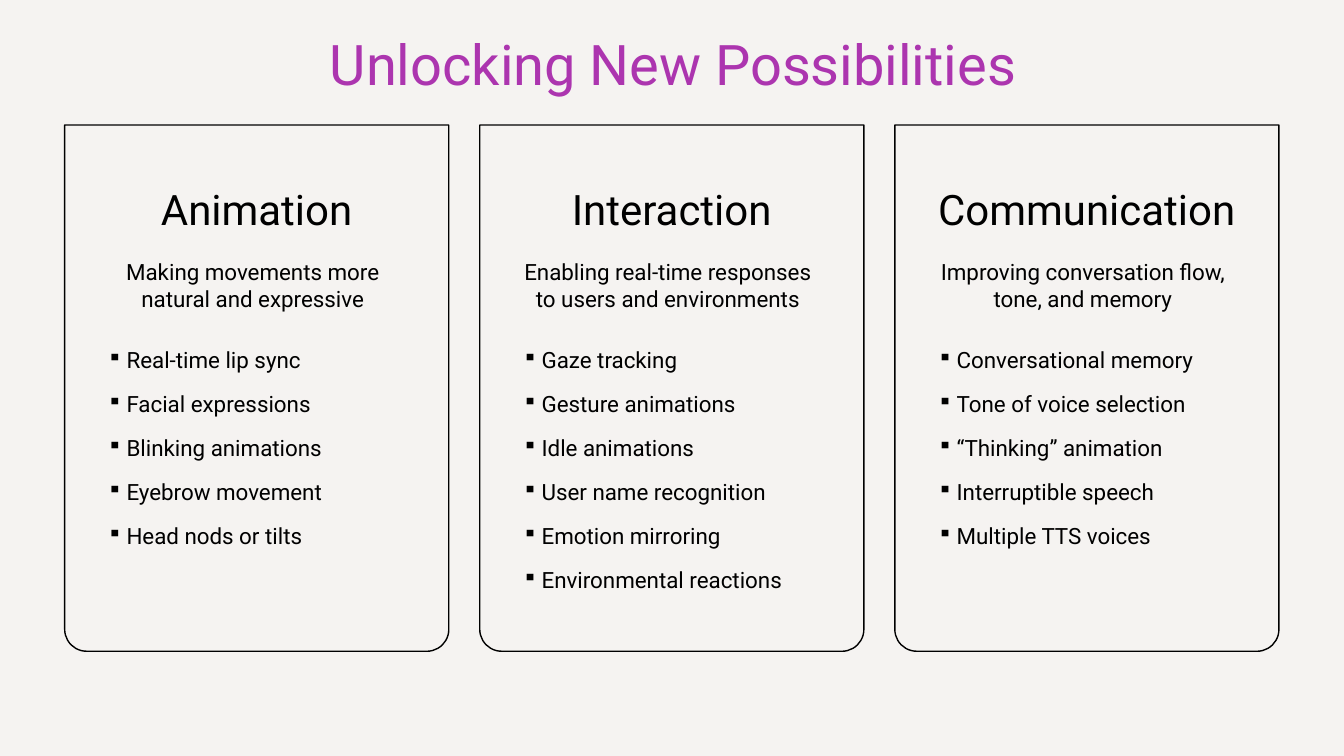
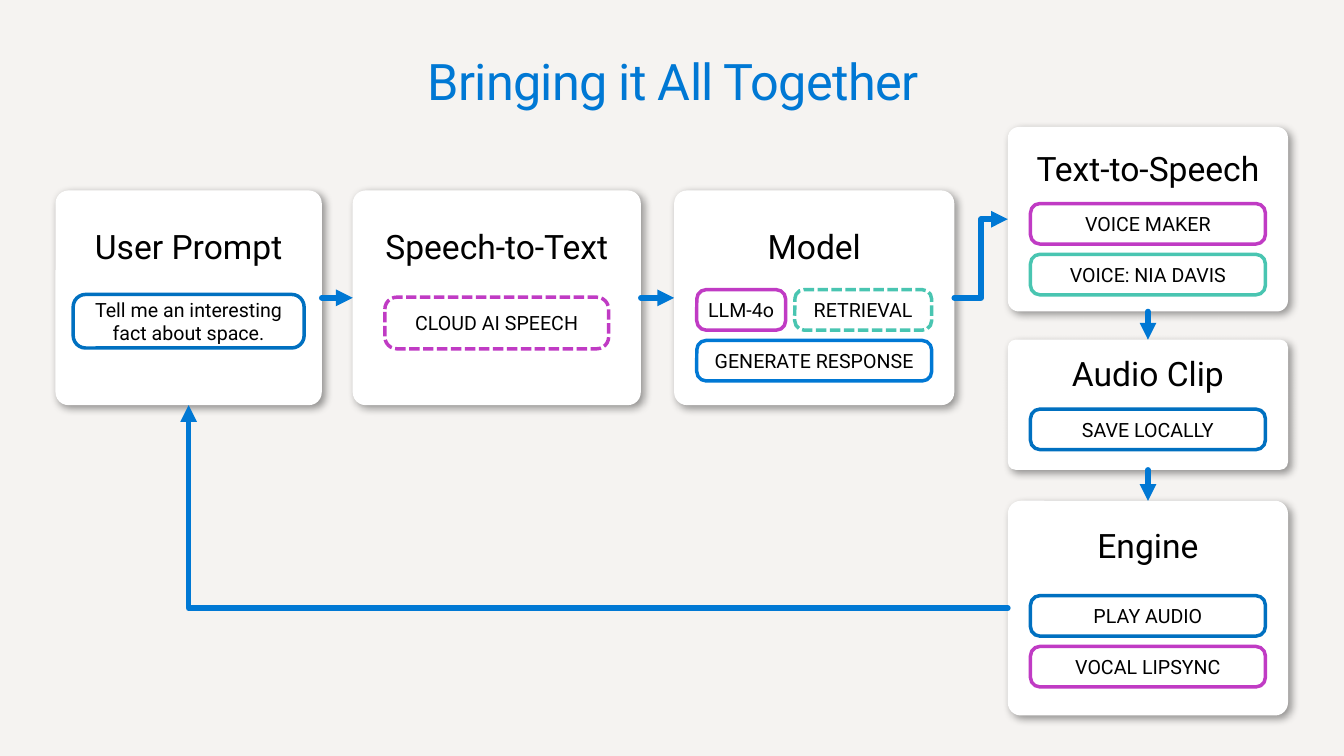
from lxml import etree
from pptx import Presentation
from pptx.dml.color import RGBColor
from pptx.enum.dml import MSO_LINE_DASH_STYLE as Dash
from pptx.enum.shapes import MSO_CONNECTOR as Link, MSO_SHAPE as Preset
from pptx.enum.text import MSO_ANCHOR as Anchor, PP_ALIGN as Align
from pptx.oxml.ns import qn
from pptx.util import Cm, Pt

PAPER = RGBColor(0xF5, 0xF3, 0xF1)
WHITE = RGBColor(0xFF, 0xFF, 0xFF)
BLACK = RGBColor(0x00, 0x00, 0x00)
PURPLE = RGBColor(0xAC, 0x35, 0xAF)
MAGENTA = RGBColor(0xC0, 0x3B, 0xC4)
TEAL = RGBColor(0x49, 0xC5, 0xB1)
BLUE = RGBColor(0x00, 0x78, 0xD4)
DEEP_BLUE = RGBColor(0x00, 0x70, 0xC0)

FONT = "Roboto"
NO_INSETS = dict(margin_left=0, margin_right=0, margin_top=0, margin_bottom=0)
LEFT, TOP, BOTTOM, RIGHT = 1, 0, 2, 3  # connection sites of a card


def set_all(target, values):
    for key, value in values.items():
        setattr(target, key, value)


def add_xml(parent, tag, **attributes):
    child = etree.SubElement(parent, qn(tag))
    for key, value in attributes.items():
        child.set(key, str(value))
    return child


class Deck:
    """Holds the shared style and the current slide."""

    def __init__(self):
        self.show = Presentation()
        set_all(self.show, dict(slide_width=Cm(33.87), slide_height=Cm(19.05)))
        self.slide = None

    def new_slide(self, title, top, size, color, spacing=0):
        self.slide = self.show.slides.add_slide(self.show.slide_layouts[6])
        self.slide.background.fill.solid()
        self.slide.background.fill.fore_color.rgb = PAPER
        run = self.text((1.66, top, 30.6, 1.7), [title], size, color, **NO_INSETS)
        if spacing:
            run.get_or_add_rPr().set("spc", str(spacing))

    def fill_frame(self, frame, lines, size, color=BLACK, align=Align.CENTER,
                   gap=0, bullet=None, **frame_format):
        set_all(frame, dict(word_wrap=True, **frame_format))
        for index, line in enumerate(lines):
            para = frame.add_paragraph() if index else frame.paragraphs[0]
            set_all(para, dict(alignment=align, space_after=Pt(gap)))
            if bullet:
                props = para._p.get_or_add_pPr()
                props.set("marL", str(Cm(0.48)))
                props.set("indent", str(-Cm(0.48)))
                add_xml(props, "a:buSzPct", val=90000)
                add_xml(props, "a:buChar", char=bullet)
            run = para.add_run()
            run.text = line
            set_all(run.font, dict(name=FONT, size=Pt(size)))
            run.font.color.rgb = color
        return run._r

    def text(self, place, lines, size, color=BLACK, **style):
        box = self.slide.shapes.add_textbox(*map(Cm, place))
        return self.fill_frame(box.text_frame, lines, size, color, **style)

    def shape(self, preset, place, corners, fill=None, line=None, width=1):
        shape = self.slide.shapes.add_shape(preset, *map(Cm, place))
        shape.shadow.inherit = False
        for index, corner in enumerate(corners):
            shape.adjustments[index] = corner
        if fill is None:
            shape.fill.background()
        else:
            shape.fill.solid()
            shape.fill.fore_color.rgb = fill
        if line is None:
            shape.line.fill.background()
        else:
            shape.line.color.rgb = line
            shape.line.width = Pt(width)
        return shape

    def column(self, left, heading, summary, features):
        frame = self.shape(Preset.ROUND_2_SAME_RECTANGLE,
                           (left, 3.15, 9.68, 13.26), (0.057, 0), line=BLACK)
        frame.rotation = 180
        self.text((left + 0.71, 4.5, 8.26, 1.55), [heading], 30)
        self.text((left + 0.69, 6.38, 8.1, 1.37), [summary], 16)
        self.text((left + 0.83, 8.61, 8.1, 6.81), features, 16,
                  align=Align.LEFT, gap=12.2, bullet="▪")

    def pill(self, place, label, color, dashed=False):
        pill = self.shape(Preset.ROUNDED_RECTANGLE, place, (0.232,),
                          WHITE, color, 2.5)
        if dashed:
            pill.line.dash_style = Dash.SQUARE_DOT
        self.fill_frame(pill.text_frame, [label], 14,
                        vertical_anchor=Anchor.MIDDLE, **NO_INSETS)

    def card(self, place, heading, heading_top, rows_top, rows, pill_height=1.02):
        left, top, width, _ = place
        card = self.shape(Preset.ROUNDED_RECTANGLE, place, (0.06,), WHITE)
        effects = card._element.spPr.find(qn("a:effectLst"))
        shadow = add_xml(effects, "a:outerShdw", blurRad=Pt(6), dist=Pt(3),
                         dir=45 * 60000, algn="tl", rotWithShape=0)
        add_xml(add_xml(shadow, "a:srgbClr", val=BLACK), "a:alpha", val=40000)
        insets = dict(NO_INSETS, margin_top=Cm(heading_top))
        self.fill_frame(card.text_frame, [heading], 24,
                        vertical_anchor=Anchor.TOP, **insets)
        # Each row of pills is centred in the card
        gap, pitch = 0.23, 1.28
        for index, row in enumerate(rows):
            row_width = sum(pill[0] for pill in row) + gap * (len(row) - 1)
            x = left + (width - row_width) / 2
            for pill_width, *look in row:
                self.pill((x, top + rows_top + index * pitch, pill_width, pill_height),
                          *look)
                x += pill_width + gap
        return card

    def arrow(self, start, start_site, end, end_site, kind=Link.STRAIGHT, preset=None):
        arrow = self.slide.shapes.add_connector(kind, 0, 0, 0, 0)
        arrow.begin_connect(start, start_site)
        arrow.end_connect(end, end_site)
        arrow.line.color.rgb = BLUE
        arrow.line.width = Pt(4)
        props = arrow._element.spPr
        if preset:
            props.find(qn("a:prstGeom")).set("prst", preset)
        line = props.find(qn("a:ln"))
        line.set("cap", "rnd")
        add_xml(line, "a:round")
        add_xml(line, "a:tailEnd", type="triangle")
        add_xml(props, "a:effectLst")


def possibilities(deck):
    deck.new_slide("Unlocking New Possibilities", 0.74, 40, PURPLE)
    columns = [
        ("Animation", "Making movements more natural and expressive",
         ["Real-time lip sync", "Facial expressions", "Blinking animations",
          "Eyebrow movement", "Head nods or tilts"]),
        ("Interaction", "Enabling real-time responses to users and environments",
         ["Gaze tracking", "Gesture animations", "Idle animations",
          "User name recognition", "Emotion mirroring", "Environmental reactions"]),
        ("Communication", "Improving conversation flow, tone, and memory",
         ["Conversational memory", "Tone of voice selection",
          "“Thinking” animation", "Interruptible speech", "Multiple TTS voices"]),
    ]
    for index, column in enumerate(columns):
        deck.column(1.63 + index * 10.46, *column)


def pipeline(deck):
    deck.new_slide("Bringing it All Together", 1.27, 36, BLUE, spacing=-50)
    full = 5.92  # width of a pill that fills its row

    # Main row
    row_top, row_height = 4.8, 5.41
    prompt = deck.card(
        (1.4, row_top, 6.71, row_height), "User Prompt", 0.8, 2.62,
        [[(5.82, "Tell me an interesting fact about space.", DEEP_BLUE)]], 1.35)
    speech = deck.card(
        (8.89, row_top, 7.26, row_height), "Speech-to-Text", 0.8, 2.69,
        [[(5.64, "CLOUD AI SPEECH", MAGENTA, True)]], 1.3)
    model = deck.card(
        (16.99, row_top, 7.06, row_height), "Model", 0.8, 2.5,
        [[(2.24, "LLM-4o", MAGENTA), (3.45, "RETRIEVAL", TEAL, True)],
         [(full, "GENERATE RESPONSE", BLUE)]])

    # Output column
    column_left, column_width = 25.4, 7.06
    voice = deck.card(
        (column_left, 3.2, column_width, 4.65), "Text-to-Speech", 0.44, 1.93,
        [[(full, "VOICE MAKER", MAGENTA)], [(full, "VOICE: NIA DAVIS", TEAL)]])
    clip = deck.card(
        (column_left, 8.56, column_width, 3.28), "Audio Clip", 0.28, 1.75,
        [[(full, "SAVE LOCALLY", DEEP_BLUE)]])
    engine = deck.card(
        (column_left, 12.62, column_width, row_height), "Engine", 0.52, 2.39,
        [[(full, "PLAY AUDIO", DEEP_BLUE)], [(full, "VOCAL LIPSYNC", MAGENTA)]])

    # Flow
    deck.arrow(prompt, RIGHT, speech, LEFT)
    deck.arrow(speech, RIGHT, model, LEFT)
    deck.arrow(model, RIGHT, voice, LEFT, Link.ELBOW)
    deck.arrow(voice, BOTTOM, clip, TOP)
    deck.arrow(clip, BOTTOM, engine, TOP)
    deck.arrow(engine, LEFT, prompt, BOTTOM, Link.ELBOW, "bentConnector2")


def main():
    deck = Deck()
    possibilities(deck)
    pipeline(deck)
    deck.show.save("out.pptx")


if __name__ == "__main__":
    main()
